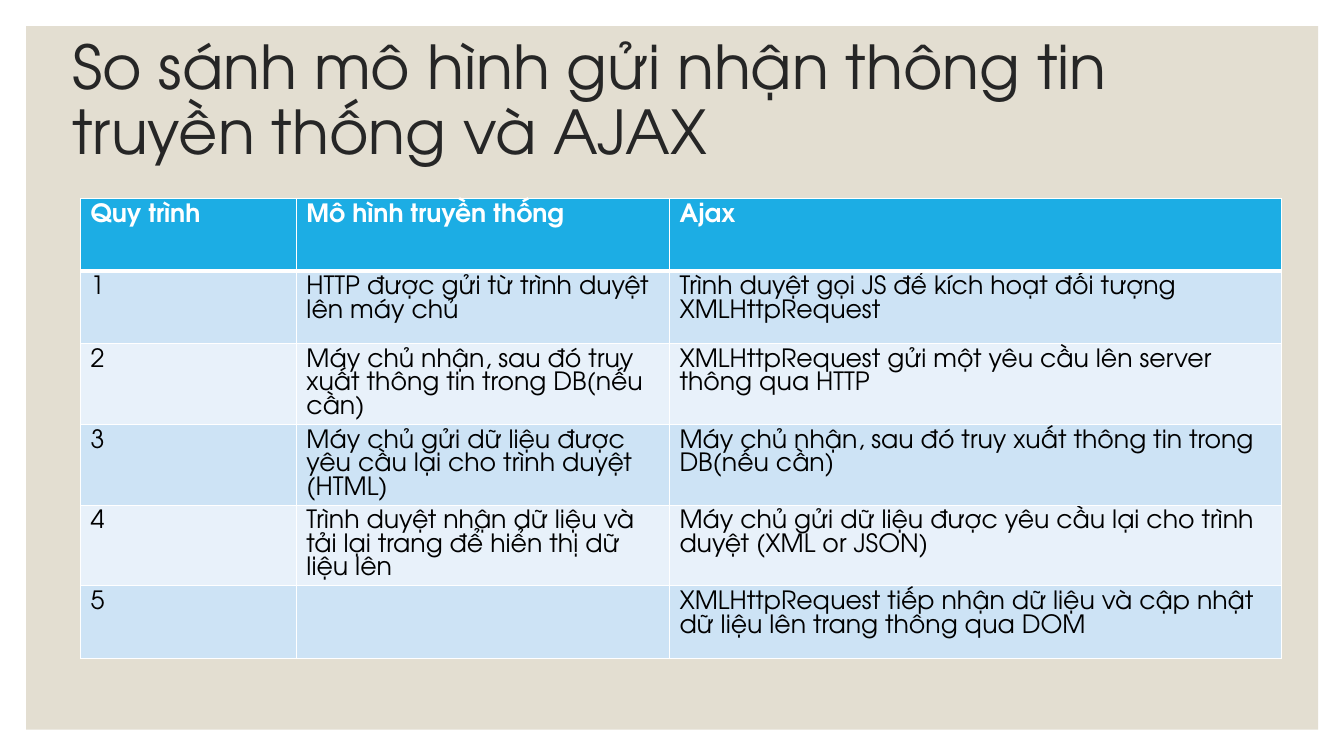
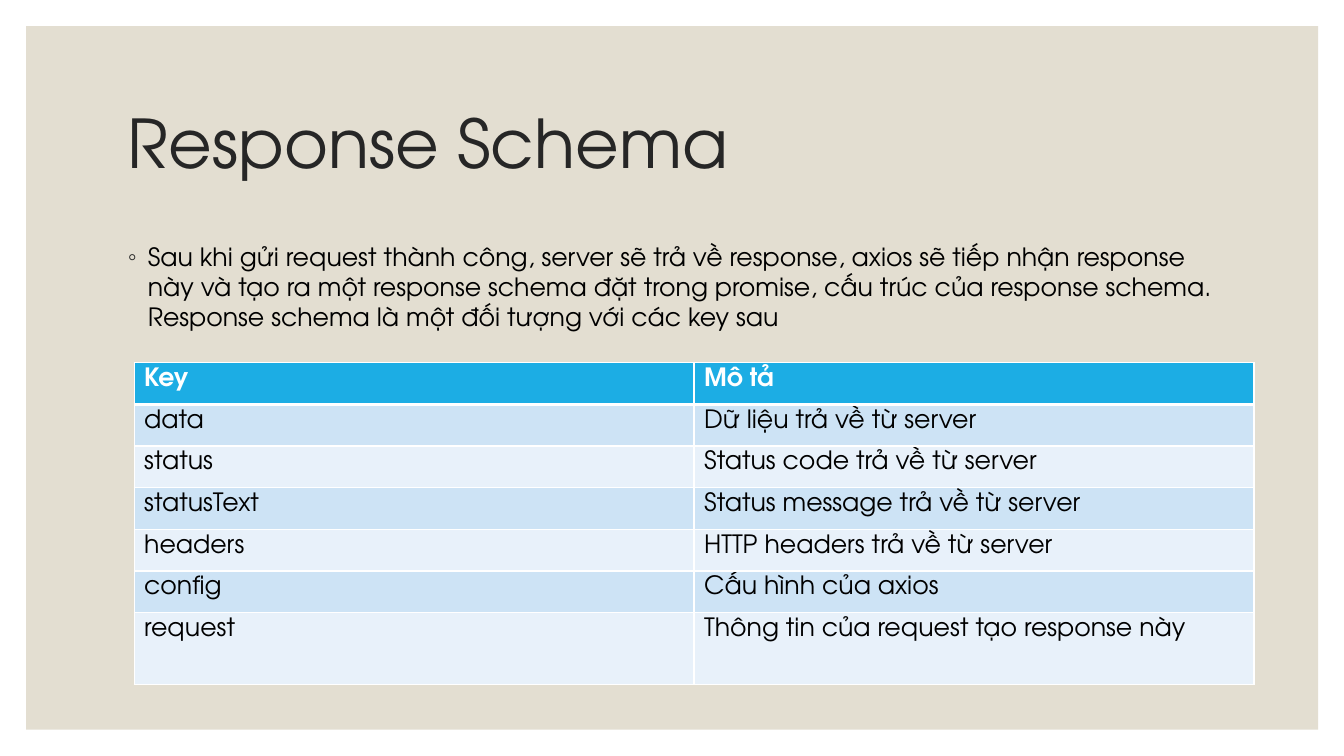
from lxml.etree import SubElement
from pptx import Presentation
from pptx.dml.color import RGBColor
from pptx.enum.shapes import MSO_SHAPE
from pptx.enum.text import MSO_ANCHOR, MSO_AUTO_SIZE, PP_ALIGN
from pptx.oxml import parse_xml
from pptx.oxml.ns import nsdecls, qn
from pptx.util import Cm, Pt

FONT = "TeX Gyre Adventor"
WHITE, BLACK, DARK = "FFFFFF", "000000", "262626"
SAND, HEADER_BLUE = "E3DED1", "1CADE4"
ROW_BLUES = ["CDE3F5", "E8F1FA"]
TITLE_ONLY, TITLE_AND_BODY = 5, 1

# Content; boxes are left, top, width, height in centimetres
SLIDES = [
    {
        "layout": TITLE_ONLY,
        "title": "So sánh mô hình gửi nhận thông tin truyền thống và AJAX",
        "title_size": 43.2,
        "title_box": (1.57, 1.19, 30.71, 2.77),
        "table_at": (2.03, 5),
        "columns": [5.44, 9.4, 15.42],
        "row_heights": [1.83] * 6,
        "rows": [
            ("Quy trình", "Mô hình truyền thống", "Ajax"),
            ("1", "HTTP được gửi từ trình duyệt lên máy chủ",
             "Trình duyệt gọi JS để kích hoạt đối tượng XMLHttpRequest"),
            ("2", "Máy chủ nhận, sau đó truy xuất thông tin trong DB(nếu cần)",
             "XMLHttpRequest gửi một yêu cầu lên server thông qua HTTP"),
            ("3", "Máy chủ gửi dữ liệu được yêu cầu lại cho trình duyệt (HTML)",
             "Máy chủ nhận, sau đó truy xuất thông tin trong DB(nếu cần)"),
            ("4", "Trình duyệt nhận dữ liệu và tải lại trang để hiển thị dữ liệu lên",
             "Máy chủ gửi dữ liệu được yêu cầu lại cho trình duyệt (XML or JSON)"),
            ("5", "",
             "XMLHttpRequest tiếp nhận dữ liệu và cập nhật dữ liệu lên trang thông qua DOM"),
        ],
    },
    {
        "layout": TITLE_AND_BODY,
        "title": "Response Schema",
        "title_size": 48,
        "title_box": (2.97, 1.8, 27.94, 3.81),
        "body": "Sau khi gửi request thành công, server sẽ trả về response, axios sẽ "
                "tiếp nhận response này và tạo ra một response schema đặt trong promise, "
                "cấu trúc của response schema. Response schema là một đối tượng với các "
                "key sau",
        "body_box": (2.97, 5.95, 27.94, 10.92),
        "table_at": (3.38, 9.14),
        "columns": [14.11] * 2,
        "row_heights": [1.05] * 6 + [1.8],
        "rows": [
            ("Key", "Mô tả"),
            ("data", "Dữ liệu trả về từ server"),
            ("status", "Status code trả về từ server"),
            ("statusText", "Status message trả về từ server"),
            ("headers", "HTTP headers trả về từ server"),
            ("config", "Cấu hình của axios"),
            ("request", "Thông tin của request tạo response này"),
        ],
    },
]


def color(value):
    return RGBColor.from_string(value)


def write(frame, text, size=18, fill=BLACK, bold=False, spacing=1.0, before=0):
    paragraph = frame.paragraphs[0]
    paragraph.alignment = PP_ALIGN.LEFT
    paragraph.line_spacing = spacing
    paragraph.space_before = Pt(before)
    run = paragraph.add_run()
    run.text = text
    run.font.name = FONT
    run.font.size = Pt(size)
    run.font.bold = bold
    run.font.color.rgb = color(fill)
    return paragraph


def place(shape, box, anchor):
    shape.left, shape.top, shape.width, shape.height = map(Cm, box)
    frame = shape.text_frame
    frame.word_wrap = True
    frame.auto_size = MSO_AUTO_SIZE.NONE
    frame.vertical_anchor = anchor
    return frame


def add_bullet(paragraph):
    properties = paragraph._p.get_or_add_pPr()
    properties.set("marL", str(Cm(0.5)))
    properties.set("indent", str(-Cm(0.5)))
    bullet_color = SubElement(properties, qn("a:buClr"))
    SubElement(bullet_color, qn("a:srgbClr"), val=DARK)
    SubElement(properties, qn("a:buChar"), char="◦")


def add_borders(cell, top, bottom):
    properties = cell._tc.get_or_add_tcPr()
    sides = [("L", 1), ("R", 1), ("T", top), ("B", bottom)]
    for position, (side, width) in enumerate(sides):
        properties.insert(position, parse_xml(
            f'<a:ln{side} {nsdecls("a")} w="{Pt(width)}"><a:solidFill>'
            f'<a:srgbClr val="{WHITE}"/></a:solidFill></a:ln{side}>'))


def add_table(slide, content):
    rows, columns = content["rows"], content["columns"]
    heights = content["row_heights"]
    left, top = content["table_at"]
    table = slide.shapes.add_table(
        len(rows), len(columns), Cm(left), Cm(top),
        Cm(sum(columns)), Cm(sum(heights))).table
    for column, width in zip(table.columns, columns):
        column.width = Cm(width)
    for index, (row, height, texts) in enumerate(zip(table.rows, heights, rows)):
        row.height = Cm(height)
        header = index == 0
        for cell, text in zip(row.cells, texts):
            cell.fill.solid()
            cell.fill.fore_color.rgb = color(
                HEADER_BLUE if header else ROW_BLUES[(index - 1) % 2])
            add_borders(cell, top=3 if index == 1 else 1, bottom=3 if header else 1)
            if text:
                write(cell.text_frame, text, bold=header,
                      fill=WHITE if header else BLACK)


def add_master_band(presentation, slide):
    """Draw the sand panel and move it behind everything on the master."""
    band = slide.shapes.add_shape(
        MSO_SHAPE.RECTANGLE, Cm(0.66), Cm(0.66), Cm(32.56), Cm(17.73))
    band.shadow.inherit = False
    band.fill.solid()
    band.fill.fore_color.rgb = color(SAND)
    band.line.fill.background()
    presentation.slide_master.shapes.element.insert(2, band.element)


def main():
    presentation = Presentation()
    presentation.slide_width, presentation.slide_height = Cm(33.87), Cm(19.05)
    for number, content in enumerate(SLIDES):
        layout = presentation.slide_layouts[content["layout"]]
        slide = presentation.slides.add_slide(layout)
        if number == 0:
            add_master_band(presentation, slide)
        # Title and list
        frame = place(slide.shapes.title, content["title_box"], MSO_ANCHOR.MIDDLE)
        write(frame, content["title"], size=content["title_size"], fill=DARK, spacing=0.9)
        if "body" in content:
            frame = place(slide.placeholders[1], content["body_box"], MSO_ANCHOR.TOP)
            add_bullet(write(frame, content["body"], before=9))
        add_table(slide, content)
    presentation.save("out.pptx")


if __name__ == "__main__":
    main()
